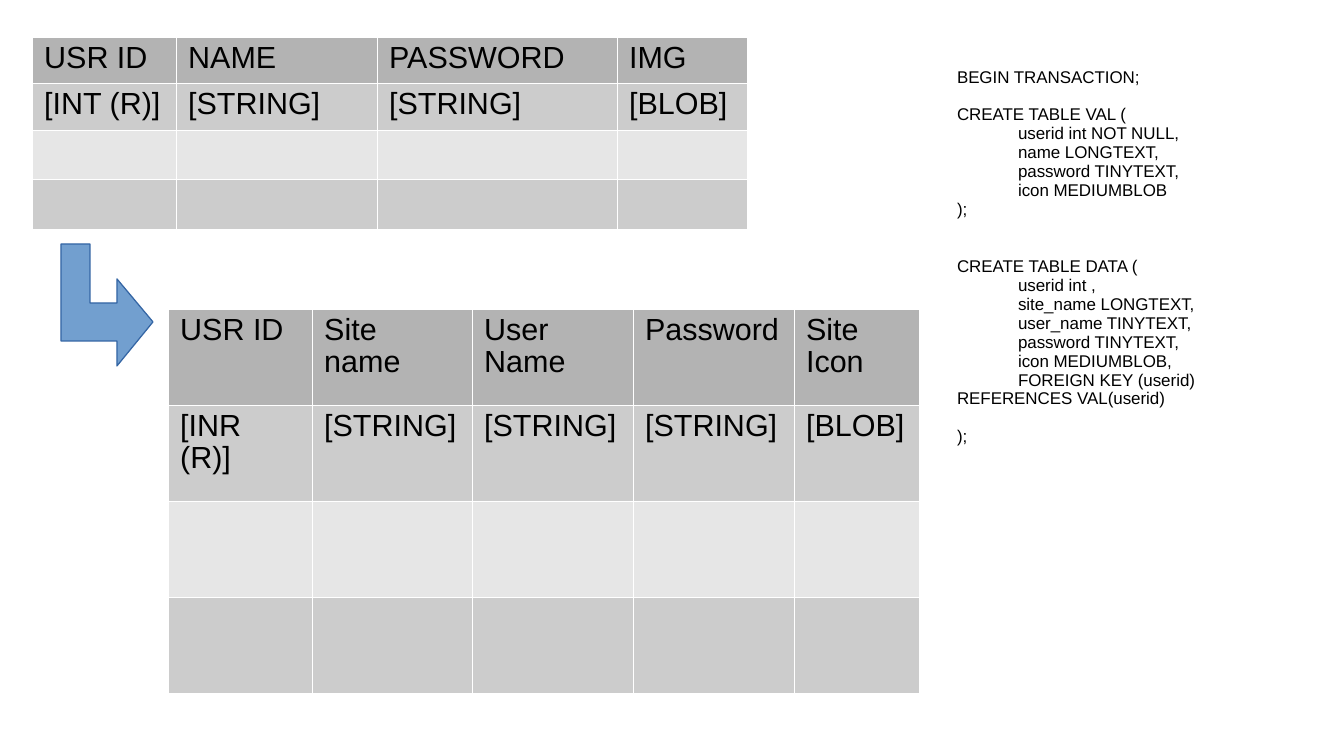
from dataclasses import dataclass

from lxml import etree
from pptx import Presentation
from pptx import util as u
from pptx.dml.color import RGBColor
from pptx.enum import text
from pptx.oxml import ns


@dataclass(frozen=True)
class Theme:
    font: str = "Arial"
    ink: str = "000000"
    rule: str = "FFFFFF"
    header: str = "B3B3B3"
    bands: tuple = ("CCCCCC", "E6E6E6")
    arrow_fill: str = "729FCF"
    arrow_line: str = "3465A4"
    table_size: int = 18
    code_size: int = 10
    leading: float = 0.93
    rule_width: int = 762


THEME = Theme()
SCALE = 914400 / 122

USERS = [
    ["USR ID", "NAME", "PASSWORD", "IMG"],
    ["[INT (R)]", "[STRING]", "[STRING]", "[BLOB]"],
    [""] * 4,
    [""] * 4,
]
SITES = [
    ["USR ID", "Site name", "User\nName", "Password", "Site\nIcon"],
    ["[INR (R)]", "[STRING]", "[STRING]", "[STRING]", "[BLOB]"],
    [""] * 5,
    [""] * 5,
]
ARROW = [(0, 0), (29, 0), (29, 59), (56, 59), (56, 35),
         (92, 78), (56, 122), (56, 97), (0, 97)]

STATEMENTS = [
    (0, "BEGIN TRANSACTION;", [], None),
    (1, "CREATE TABLE VAL (", [
        "userid int NOT NULL,",
        "name LONGTEXT,",
        "password TINYTEXT,",
        "icon MEDIUMBLOB",
    ], 0),
    (2, "CREATE TABLE DATA (", [
        "userid int ,",
        "site_name LONGTEXT,",
        "user_name TINYTEXT,",
        "password TINYTEXT,",
        "icon MEDIUMBLOB,",
        "FOREIGN KEY (userid) REFERENCES VAL(userid)",
    ], 1),
]


def px(n):
    return u.Emu(round(n * SCALE))


def rgb(value):
    return RGBColor.from_string(value)


def apply(obj, values):
    for name, value in values.items():
        setattr(obj, name, value)


def style(p, size):
    p.line_spacing = THEME.leading
    for r in p.runs:
        apply(r.font, {"name": THEME.font, "size": u.Pt(size)})
        r.font.color.rgb = rgb(THEME.ink)


def border(cell):
    tc_pr = cell._tc.get_or_add_tcPr()
    for i, side in enumerate(("lnL", "lnR", "lnT", "lnB")):
        ln = etree.Element(ns.qn(f"a:{side}"), w=str(THEME.rule_width))
        fill = etree.SubElement(ln, ns.qn("a:solidFill"))
        etree.SubElement(fill, ns.qn("a:srgbClr"), val=THEME.rule)
        tc_pr.insert(i, ln)


def schema_table(s, box, cols, rows):
    x, y, w, h = map(px, box)
    table = s.shapes.add_table(len(rows), len(cols), x, y, w, h).table
    apply(table, {"first_row": False, "horz_banding": False})
    for column, width in zip(table.columns, cols):
        column.width = px(width)
    for i, values in enumerate(rows):
        table.rows[i].height = px(box[3] / len(rows))
        fill = THEME.bands[(i - 1) % 2] if i else THEME.header
        for j, value in enumerate(values):
            cell = table.cell(i, j)
            cell.text = value
            cell.fill.solid()
            cell.fill.fore_color.rgb = rgb(fill)
            border(cell)
            for p in cell.text_frame.paragraphs:
                style(p, THEME.table_size)


def relation_arrow(s, box):
    x, y, w, h = box
    points = [(x + dx * w / 92, y + dy * h / 122) for dx, dy in ARROW]
    builder = s.shapes.build_freeform(*points[0], scale=SCALE)
    builder.add_line_segments(points[1:], close=True)
    sp = builder.convert_to_shape()
    sp.shadow.inherit = False
    sp.fill.solid()
    sp.fill.fore_color.rgb = rgb(THEME.arrow_fill)
    sp.line.color.rgb = rgb(THEME.arrow_line)
    sp.line.width = u.Pt(0.75)


def sql_lines():
    for gap, head, fields, end_gap in STATEMENTS:
        yield head, gap, 0
        for field in fields:
            yield field, 0, 61
        if end_gap is not None:
            yield ");", end_gap, 0


def sql_listing(s, box):
    tf = s.shapes.add_textbox(*map(px, box)).text_frame
    apply(tf, {
        "word_wrap": True,
        "auto_size": text.MSO_AUTO_SIZE.NONE,
        "vertical_anchor": text.MSO_ANCHOR.TOP,
        "margin_left": px(12),
        "margin_right": px(12),
        "margin_top": px(7),
        "margin_bottom": px(6),
    })
    for i, (line, gap, indent) in enumerate(sql_lines()):
        p = tf.add_paragraph() if i else tf.paragraphs[0]
        p.text = line
        p.space_before = px(19 * gap)
        p._p.get_or_add_pPr().set("indent", str(px(indent)))
        style(p, THEME.code_size)


def main():
    prs = Presentation()
    apply(prs, {"slide_width": px(1344), "slide_height": px(756)})
    s = prs.slides.add_slide(prs.slide_layouts[6])
    schema_table(s, (32, 37, 715, 186), (144, 201, 240, 130), USERS)
    schema_table(s, (168, 309, 751, 384), (144, 160, 161, 161, 125), SITES)
    relation_arrow(s, (61, 244, 92, 122))
    sql_listing(s, (945, 61, 336, 549))
    prs.save("out.pptx")


if __name__ == "__main__":
    main()
